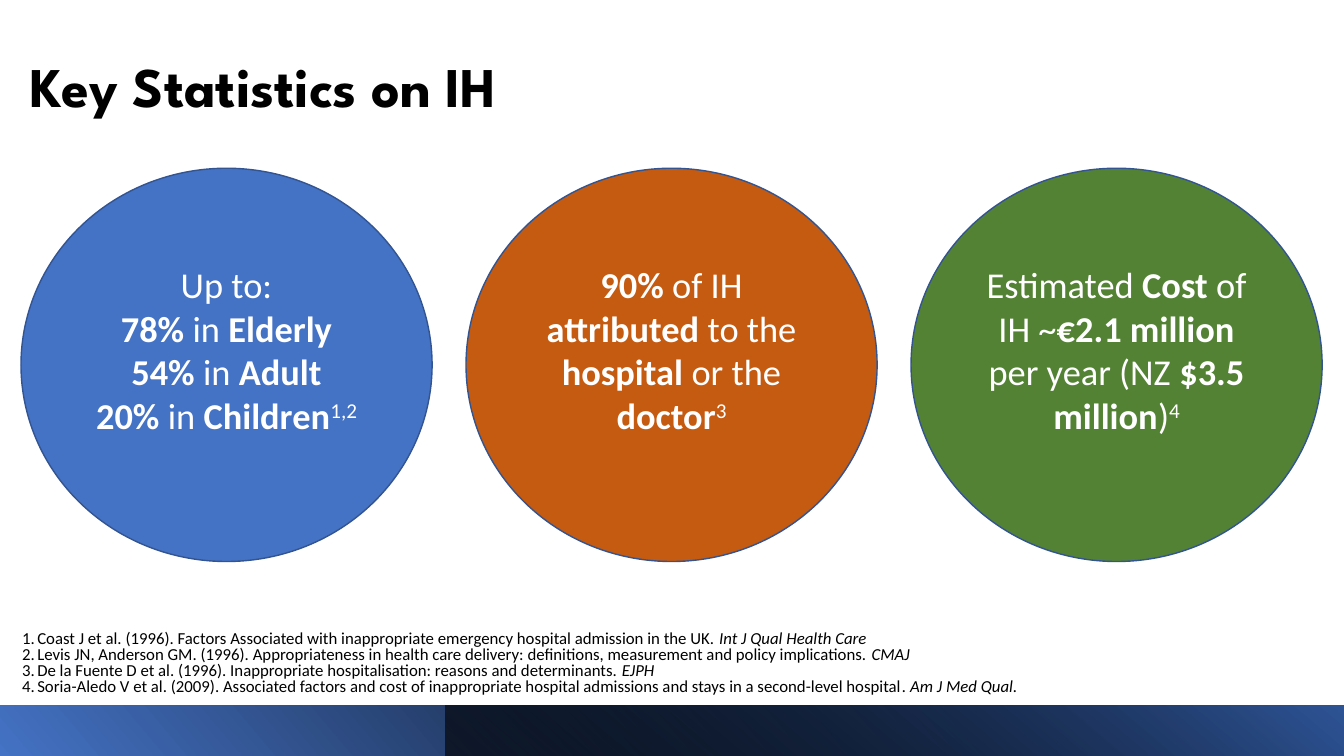
from dataclasses import dataclass

from lxml.etree import SubElement
from pptx import Presentation
from pptx.dml.color import RGBColor as Rgb
from pptx.enum.shapes import MSO_SHAPE as Shape
from pptx.enum.text import MSO_ANCHOR as Anchor, PP_ALIGN as Align
from pptx.oxml.ns import qn
from pptx.util import Cm, Pt


@dataclass(frozen=True)
class Theme:
    head: str = "League Spartan"
    body: str = "Calibri"
    title: int = 40
    fact: int = 26
    note: int = 12
    ink: str = "000000"
    paper: str = "FFFFFF"
    blue: str = "4472C4"
    rust: str = "C55A11"
    green: str = "548235"
    edge: str = "325491"
    navy: str = "2F5597"


THEME = Theme()
WIDE, HIGH = 33.87, 19.05

# Each run is (text, style): b bold, i italic, s superscript
FACTS = [
    (THEME.blue, [
        [("Up to:", "")],
        [("78%", "b"), (" in ", ""), ("Elderly", "b")],
        [("54%", "b"), (" in ", ""), ("Adult", "b")],
        [("20%", "b"), (" in ", ""), ("Children", "b"), ("1,2", "s")],
    ]),
    (THEME.rust, [
        [("90%", "b"), (" of IH ", ""), ("attributed", "b"), (" to the ", ""),
         ("hospital", "b"), (" or the ", ""), ("doctor", "b"), ("3", "s")],
    ]),
    (THEME.green, [
        [("Estimated ", ""), ("Cost", "b"), (" of IH ~", ""),
         ("€2.1 million ", "b"), ("per year (NZ ", ""),
         ("$3.5 million", "b"), (")", ""), ("4", "s")],
    ]),
]

NOTES = [
    [("Coast J et al. (1996). Factors Associated with inappropriate emergency "
      "hospital admission in the UK. ", ""), ("Int J Qual Health Care", "i")],
    [("Levis JN, Anderson GM. (1996). Appropriateness in health care delivery: "
      "definitions, measurement and policy implications. ", ""), ("CMAJ", "i")],
    [("De la Fuente D et al. (1996). Inappropriate hospitalisation: reasons "
      "and determinants. ", ""), ("EJPH", "i")],
    [("Soria-Aledo V et al. (2009). Associated factors and cost of "
      "inappropriate hospital admissions and stays in a second-level hospital", ""),
     (". Am J Med Qual.", "i")],
]


def lengths(box):
    return [Cm(side) for side in box]


def write(frame, lines, font, size, color):
    """Fill a text frame run by run and return its paragraphs."""
    frame.word_wrap = True
    for n, line in enumerate(lines):
        para = frame.add_paragraph() if n else frame.paragraphs[0]
        for text, style in line:
            run = para.add_run()
            run.text = text
            face = run.font
            face.name, face.size = font, Pt(size)
            face.color.rgb = Rgb.from_string(color)
            face.bold, face.italic = "b" in style, "i" in style
            if "s" in style:
                face._element.set("baseline", "30000")
    return frame.paragraphs


def add_title(slide, box, text):
    frame = slide.shapes.add_textbox(*lengths(box)).text_frame
    frame.vertical_anchor = Anchor.BOTTOM
    para, = write(frame, [[(text, "b")]], THEME.head, THEME.title, THEME.ink)
    para.line_spacing = 0.9


def add_notes(slide, box, notes):
    frame = slide.shapes.add_textbox(*lengths(box)).text_frame
    for para in write(frame, notes, THEME.body, THEME.note, THEME.ink):
        para.line_spacing = 0.1
        para.space_before = Pt(10)
        props = para._p.get_or_add_pPr()
        props.set("marL", str(Cm(0.69)))
        props.set("indent", str(-Cm(0.38)))
        SubElement(props, qn("a:buFont"), typeface="+mj-lt")
        SubElement(props, qn("a:buAutoNum"), type="arabicPeriod")


def add_facts(slide, box, facts):
    """Spread one ellipse per fact evenly across the box."""
    left, top, width, height = box
    size = 10.36
    step = (width - size) / (len(facts) - 1)
    for n, (color, lines) in enumerate(facts):
        place = lengths((left + n * step, top, size, height))
        disc = slide.shapes.add_shape(Shape.OVAL, *place)
        disc.shadow.inherit = False
        disc.fill.solid()
        disc.fill.fore_color.rgb = Rgb.from_string(color)
        disc.line.color.rgb = Rgb.from_string(THEME.edge)
        disc.line.width = Pt(1)
        frame = disc.text_frame
        frame.vertical_anchor = Anchor.MIDDLE
        frame.margin_bottom = Cm(0.9)
        for para in write(frame, lines, THEME.body, THEME.fact, THEME.paper):
            para.alignment = Align.CENTER


def add_band(slide, box, stops, angle):
    """Draw a gradient bar; each stop is (position, color, opacity)."""
    band = slide.shapes.add_shape(Shape.RECTANGLE, *lengths(box))
    band.shadow.inherit = False
    band.line.fill.background()
    band.fill.gradient()
    band.fill.gradient_angle = angle
    for stop, (place, color, alpha) in zip(band.fill.gradient_stops, stops):
        stop.position = place
        stop.color.rgb = Rgb.from_string(color)
        if alpha < 1:
            tint = stop._gs.find(qn("a:srgbClr"))
            SubElement(tint, qn("a:alpha"), val=str(int(alpha * 100000)))


def add_foot(slide, box):
    left, top, width, height = box
    inset = 11.22
    add_band(slide, box, [(0, THEME.blue, 1), (0.78, THEME.ink, 1)], 40)
    add_band(slide, (left + inset, top, width - inset, height),
             [(0, THEME.ink, 0.63), (1, THEME.navy, 1)], 50)


def main():
    deck = Presentation()
    deck.slide_width, deck.slide_height = Cm(WIDE), Cm(HIGH)
    slide = deck.slides.add_slide(deck.slide_layouts[6])
    add_title(slide, (0.53, 0.36, 32.97, 2.77), "Key Statistics on IH")
    add_notes(slide, (0, 16.08, 32.39, 1.7), NOTES)
    add_foot(slide, (0, HIGH - 1.27, WIDE, 1.27))
    add_facts(slide, (0.53, 4.24, 32.79, 9.91), FACTS)
    deck.save("out.pptx")


if __name__ == "__main__":
    main()
